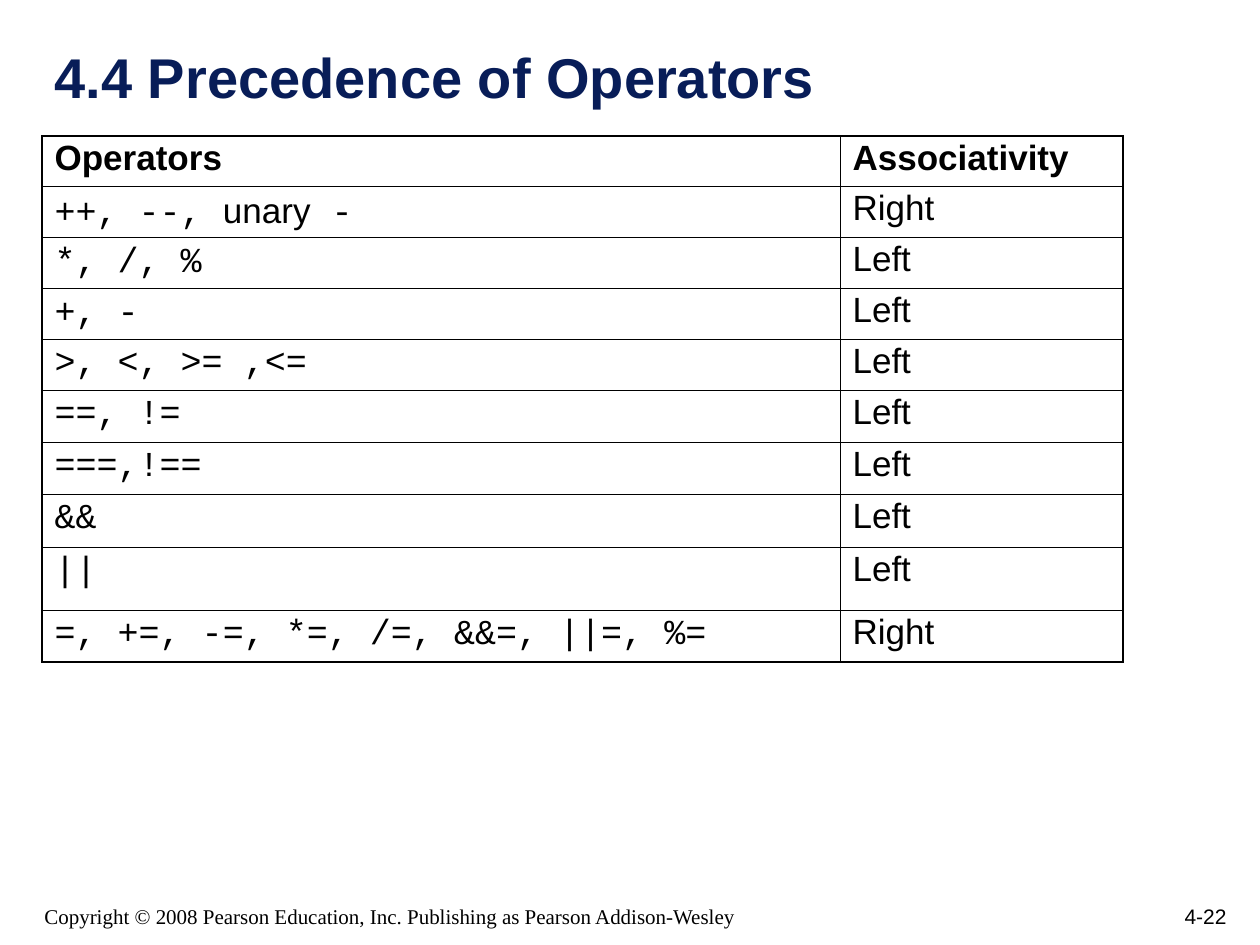
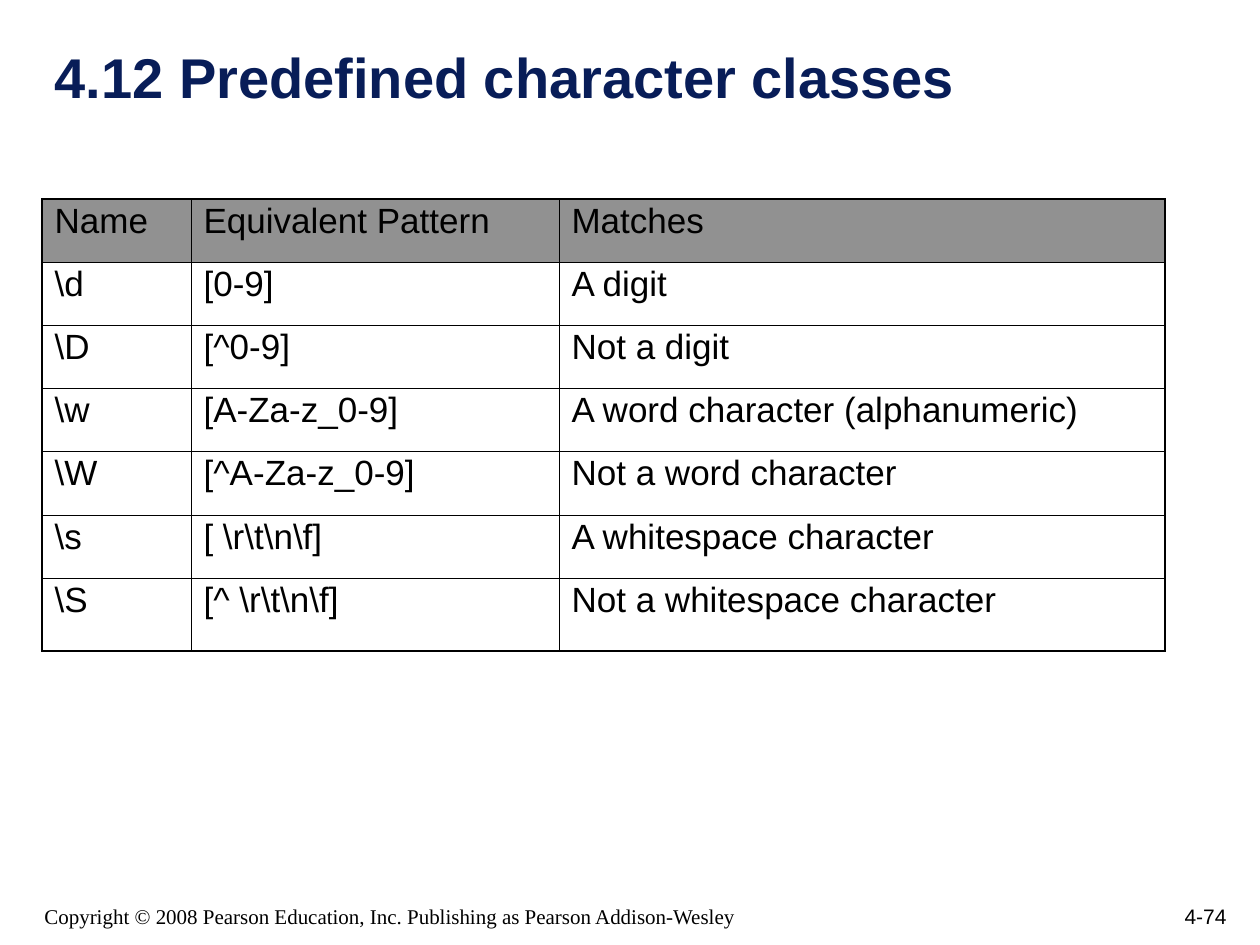
from lxml.etree import SubElement
from pptx import Presentation
from pptx.dml.color import RGBColor
from pptx.enum.text import MSO_ANCHOR, MSO_AUTO_SIZE, PP_ALIGN
from pptx.oxml.ns import qn
from pptx.util import Emu, Pt

SANS, MONO, SERIF = "Arial", "Courier New", "Times New Roman"
NAVY, BLACK, GRAY = "081D58", "000000", "919191"
OUTER, INNER = 1.08, 0.45
COPYRIGHT = "Copyright © 2008 Pearson Education, Inc. Publishing as Pearson Addison-Wesley"

OPERATORS = [
    ("++, --, ", "Right"),
    ("*, /, %", "Left"),
    ("+, -", "Left"),
    (">, <, >= ,<=", "Left"),
    ("==, !=", "Left"),
    ("===,!==", "Left"),
    ("&&", "Left"),
    ("||", "Left"),
    ("=, +=, -=, *=, /=, &&=, ||=, %=", "Right"),
]
UNARY_TAIL = [("unary", SANS), (" -", MONO)]

CHARACTER_CLASSES = [
    (r"\d", "[0-9]", "A digit"),
    (r"\D", "[^0-9]", "Not a digit"),
    (r"\w", "[A-Za-z_0-9]", "A word character (alphanumeric)"),
    (r"\W", "[^A-Za-z_0-9]", "Not a word character"),
    (r"\s", r"[ \r\t\n\f]", "A whitespace character"),
    (r"\S", r"[^ \r\t\n\f]", "Not a whitespace character"),
]


def px(n):
    return Emu(round(n * 914400 / 126))


def rgb(value):
    return RGBColor.from_string(value)


def write(tf, runs, size=20, font=SANS, color=BLACK, bold=False,
          align=PP_ALIGN.LEFT, spacing=1.0):
    """Fill the first paragraph with a string or a list of (text, font) runs."""
    p = tf.paragraphs[0]
    p.alignment = align
    p.line_spacing = spacing
    for text, face in [(runs, font)] if isinstance(runs, str) else runs:
        r = p.add_run()
        r.text = text
        r.font.name = face
        r.font.size = Pt(size)
        r.font.bold = bold
        r.font.color.rgb = rgb(color)


def set_borders(cell, **widths):
    """Draw the sides L, R, T and B, with widths in points."""
    tc_pr = cell._tc.get_or_add_tcPr()
    for i, (side, width) in enumerate(widths.items()):
        ln = SubElement(tc_pr, qn(f"a:ln{side}"), w=str(Pt(width)))
        SubElement(SubElement(ln, qn("a:solidFill")), qn("a:srgbClr"), val=BLACK)
        tc_pr.insert(i, ln)


class Deck:
    def __init__(self):
        self.prs = Presentation()
        self.prs.slide_width, self.prs.slide_height = px(1260), px(945)
        self.s = None

    def slide(self, title, number):
        self.s = self.prs.slides.add_slide(self.prs.slide_layouts[5])
        self.title(title)
        self.text(number, 977, 872, 262, 63, size=12, align=PP_ALIGN.RIGHT)
        self.text(COPYRIGHT, 32, 882, 766, 53, size=12, font=SERIF)

    def title(self, text):
        sp = self.s.shapes.title
        sp.left, sp.top, sp.width, sp.height = map(px, (42, 42, 1187, 74))
        tf = sp.text_frame
        tf.auto_size = MSO_AUTO_SIZE.NONE
        tf.vertical_anchor = MSO_ANCHOR.BOTTOM
        write(tf, text, size=32, color=NAVY, bold=True)

    def text(self, text, x, y, w, h, **style):
        tf = self.s.shapes.add_textbox(*map(px, (x, y, w, h))).text_frame
        tf.word_wrap = True
        tf.vertical_anchor = MSO_ANCHOR.BOTTOM
        write(tf, text, **style)

    def table(self, rows, x, y, widths, heights, header_fill=None,
              header_bold=False, first_font=SANS):
        """Add a ruled table whose first row is the header."""
        box = map(px, (x, y, sum(widths), sum(heights)))
        table = self.s.shapes.add_table(len(rows), len(widths), *box).table
        table.first_row = table.horz_banding = False
        for column, width in zip(table.columns, widths):
            column.width = px(width)
        last_row, last_col = len(rows) - 1, len(widths) - 1
        for i, (row, height) in enumerate(zip(rows, heights)):
            table.rows[i].height = px(height)
            for j, value in enumerate(row):
                cell = table.cell(i, j)
                if i == 0 and header_fill:
                    cell.fill.solid()
                    cell.fill.fore_color.rgb = rgb(header_fill)
                else:
                    cell.fill.background()
                write(cell.text_frame, value, spacing=0.9,
                      font=first_font if i and j == 0 else SANS,
                      bold=header_bold and i == 0)
                set_borders(cell,
                            L=OUTER if j == 0 else INNER,
                            R=OUTER if j == last_col else INNER,
                            T=OUTER if i == 0 else INNER,
                            B=OUTER if i == last_row else INNER)


def main():
    deck = Deck()

    deck.slide("4.4 Precedence of Operators", "4-22")
    (increments, side), *others = OPERATORS
    unary_row = ([(increments, MONO), *UNARY_TAIL], side)
    deck.table([("Operators", "Associativity"), unary_row, *others],
               42, 136, [798, 283],
               [50, 51, 51, 50, 51, 52, 52, 53, 63, 52],
               header_bold=True, first_font=MONO)

    deck.slide("4.12 Predefined character classes", "4-74")
    deck.table([("Name", "Equivalent Pattern", "Matches"), *CHARACTER_CLASSES],
               42, 199, [149, 368, 606], [63] * 4 + [64, 63, 73],
               header_fill=GRAY)

    deck.prs.save("out.pptx")


if __name__ == "__main__":
    main()
